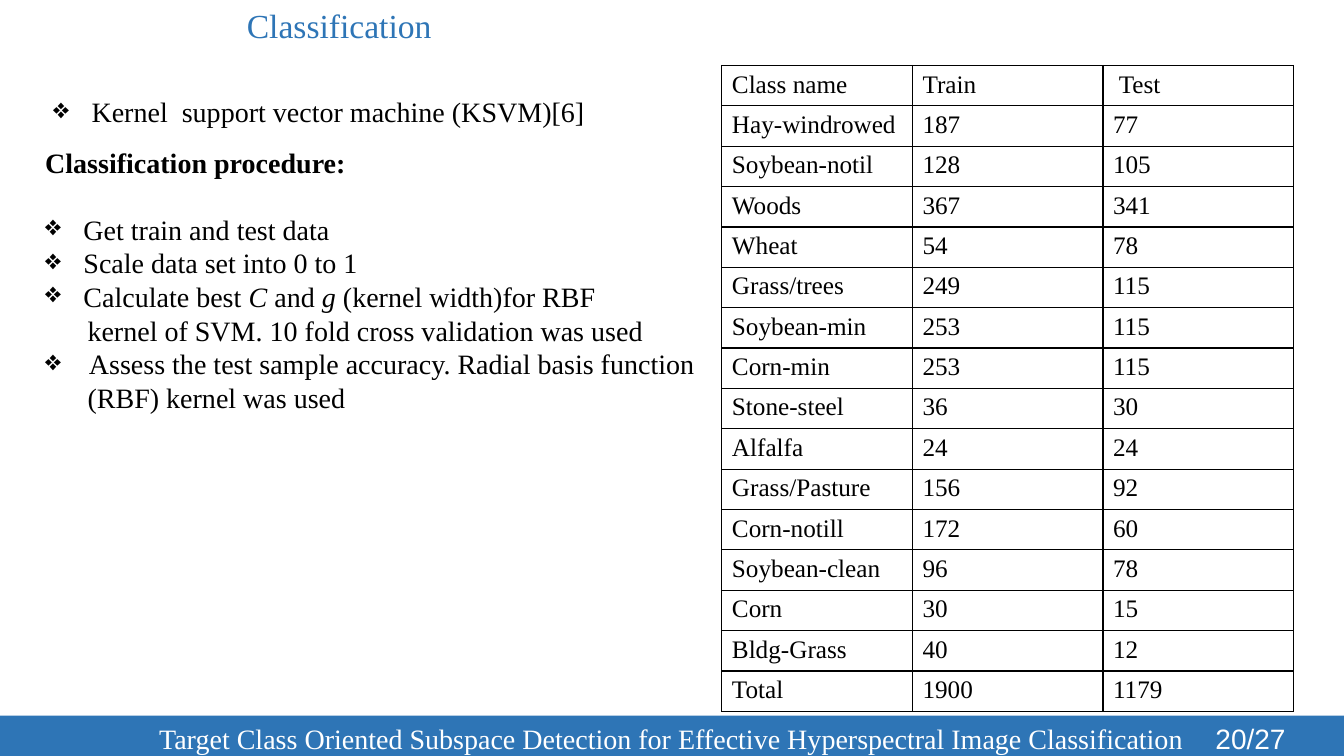
from dataclasses import dataclass

import lxml.etree
import pptx
import pptx.dml.color
import pptx.enum.shapes
import pptx.enum.text
import pptx.oxml
import pptx.oxml.ns
import pptx.util

Inches = pptx.util.Inches
Anchor = pptx.enum.text.MSO_ANCHOR
Align = pptx.enum.text.PP_ALIGN


@dataclass(frozen=True)
class Theme:
    serif: str = "Times New Roman"
    sans: str = "Arial"
    blue: str = "2E75B6"
    black: str = "000000"
    white: str = "FFFFFF"
    title: int = 24
    body: int = 20
    cell: int = 18


def color(code):
    return pptx.dml.color.RGBColor.from_string(code)


class Painter:
    def __init__(self, page, theme):
        self.page = page
        self.theme = theme

    def style(self, para, size, code, face=None):
        para.font.name = face or self.theme.serif
        para.font.size = pptx.util.Pt(size)
        para.font.color.rgb = color(code)

    def indent(self, para, margin, first=0):
        properties = para._p.get_or_add_pPr()
        properties.set("marL", str(Inches(margin)))
        properties.set("indent", str(Inches(first)))
        return properties

    def bar(self, place, fill, text, size, code, margin):
        box = self.page.shapes.add_shape(
            pptx.enum.shapes.MSO_SHAPE.RECTANGLE, *map(Inches, place))
        box.shadow.inherit = False
        box.fill.solid()
        box.fill.fore_color.rgb = color(fill)
        box.line.fill.background()
        box.text_frame.vertical_anchor = Anchor.MIDDLE
        para = box.text_frame.paragraphs[0]
        para.text = text
        para.alignment = Align.LEFT
        self.indent(para, margin)
        self.style(para, size, code)

    def text_box(self, place):
        frame = self.page.shapes.add_textbox(*map(Inches, place)).text_frame
        frame.word_wrap = True
        return frame

    def body_line(self, para, spans, bullet=False, margin=0):
        self.style(para, self.theme.body, self.theme.black)
        for text, mark in spans:
            span = para.add_run()
            span.text = text
            if mark == "bold":
                span.font.bold = True
            if mark == "italic":
                span.font.italic = True
        if bullet:
            properties = self.indent(para, 0.38, -0.38)
            lxml.etree.SubElement(
                properties, pptx.oxml.ns.qn("a:buChar"), char="❖")
        elif margin:
            self.indent(para, margin)

    def page_number(self, place, text):
        frame = self.text_box(place)
        frame.vertical_anchor = Anchor.MIDDLE
        para = frame.paragraphs[0]
        para.text = text
        para.alignment = Align.RIGHT
        self.style(para, self.theme.body, self.theme.white, self.theme.sans)

    def cell_borders(self, cell):
        properties = cell._tc.get_or_add_tcPr()
        for side in ("lnL", "lnR", "lnT", "lnB"):
            properties.append(pptx.oxml.parse_xml(
                f'<a:{side} {pptx.oxml.ns.nsdecls("a")} w="12700"><a:solidFill>'
                f'<a:srgbClr val="{self.theme.black}"/></a:solidFill></a:{side}>'))

    def table(self, left, top, column_width, row_height, rows):
        count = len(rows[0])
        grid = self.page.shapes.add_table(
            len(rows), count, Inches(left), Inches(top),
            Inches(column_width * count), Inches(row_height * len(rows))).table
        for column in grid.columns:
            column.width = Inches(column_width)
        for row, values in zip(grid.rows, rows):
            row.height = Inches(row_height)
            for cell, value in zip(row.cells, values):
                self.cell_borders(cell)
                cell.fill.solid()
                cell.fill.fore_color.rgb = color(self.theme.white)
                para = cell.text_frame.paragraphs[0]
                para.text = value
                self.style(para, self.theme.cell, self.theme.black)
                para.font.bold = False


SAMPLES = [
    ("Class name", "Train", " Test"),
    ("Hay-windrowed", "187", "77"),
    ("Soybean-notil", "128", "105"),
    ("Woods", "367", "341"),
    ("Wheat", "54", "78"),
    ("Grass/trees", "249", "115"),
    ("Soybean-min", "253", "115"),
    ("Corn-min", "253", "115"),
    ("Stone-steel", "36", "30"),
    ("Alfalfa", "24", "24"),
    ("Grass/Pasture", "156", "92"),
    ("Corn-notill", "172", "60"),
    ("Soybean-clean", "96", "78"),
    ("Corn", "30", "15"),
    ("Bldg-Grass", "40", "12"),
    ("Total", "1900", "1179"),
]

STEPS = [
    (True, [("Get train and test data", "")]),
    (True, [("Scale data set into 0 to 1", "")]),
    (True, [("Calculate best ", ""), ("C", "italic"), (" and ", ""),
            ("g", "italic"), (" (kernel width)for RBF", "")]),
    (False, [("kernel of SVM. 10 fold cross validation was used", "")]),
    (True, [(" Assess the test sample accuracy. Radial basis function", "")]),
    (False, [("(RBF) kernel was used", "")]),
]


def main():
    deck = pptx.Presentation()
    deck.slide_width = Inches(13.33)
    deck.slide_height = Inches(7.5)
    theme = Theme()
    painter = Painter(deck.slides.add_slide(deck.slide_layouts[6]), theme)

    painter.bar((0.18, 0, 6.83, 0.5), theme.white, "Classification",
                theme.title, theme.blue, 2.17)
    painter.bar((0, 7.1, 13.33, 0.44), theme.blue,
                "Target Class Oriented Subspace Detection for Effective "
                "Hyperspectral Image Classification",
                theme.body, theme.white, 1.48)

    procedure = painter.text_box((0.35, 1.39, 6.7, 3.13))
    heading = procedure.paragraphs[0]
    painter.body_line(heading, [("Classification procedure:", "bold")])
    heading.space_after = pptx.util.Pt(theme.title)
    for bullet, spans in STEPS:
        painter.body_line(procedure.add_paragraph(), spans, bullet, 0.42)

    painter.table(7.16, 0.65, 1.89, 0.4, SAMPLES)

    method = painter.text_box((0.43, 0.89, 5.5, 0.44))
    painter.body_line(method.paragraphs[0],
                      [("Kernel  support vector machine (KSVM)[6]", "")], True)
    painter.page_number((9.42, 7.12, 3.43, 0.4), "20/27")
    deck.save("out.pptx")


if __name__ == "__main__":
    main()
